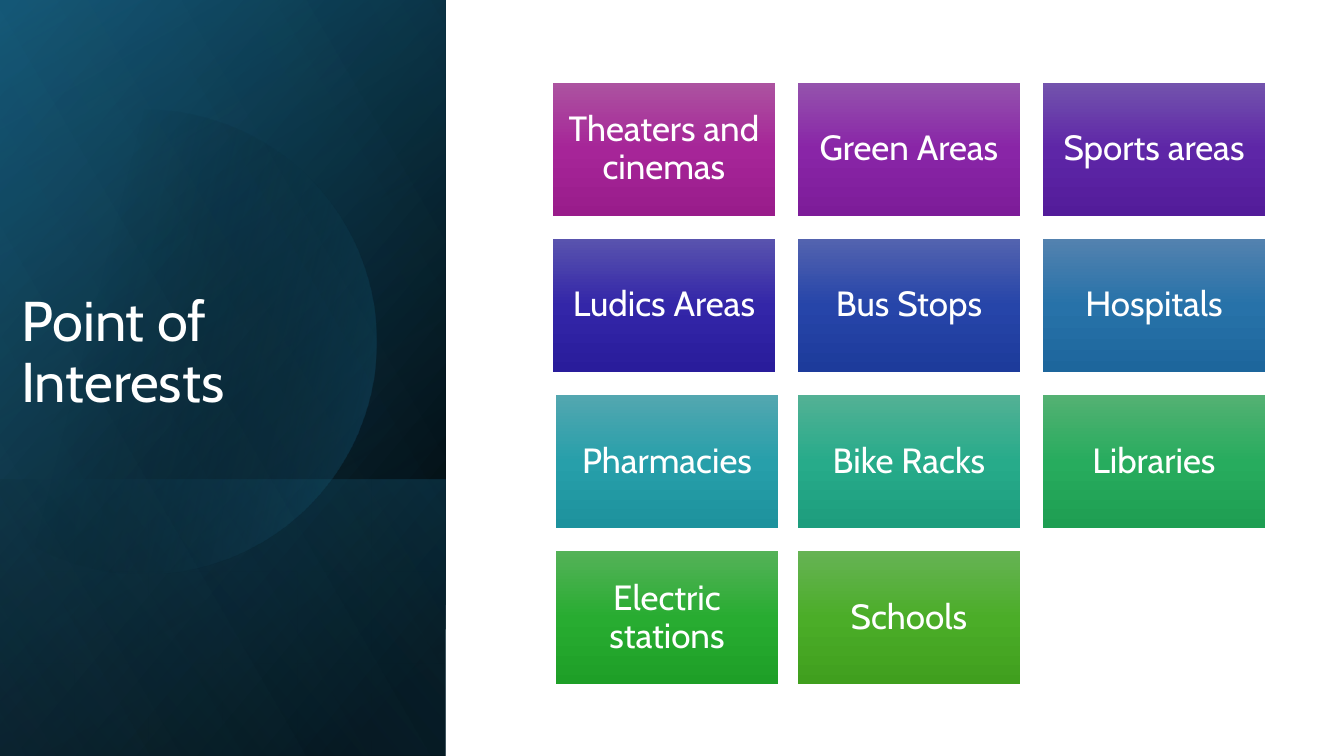
from math import acos, cos, sin

from lxml import etree
from pptx import Presentation
from pptx.dml.color import RGBColor
from pptx.enum.shapes import MSO_SHAPE as Shape
from pptx.enum.text import MSO_ANCHOR as Anchor, MSO_AUTO_SIZE as AutoSize, PP_ALIGN as Align
from pptx.oxml.ns import qn
from pptx.util import Inches, Pt

FONT = "Cabin"
WHITE = RGBColor(0xFF, 0xFF, 0xFF)
BLACK = RGBColor(0x00, 0x00, 0x00)
DEEP_TEAL = RGBColor(0x10, 0x48, 0x62)
TEAL = RGBColor(0x15, 0x60, 0x82)
SKY = RGBColor(0x46, 0xB1, 0xE1)

# Gradient stops: position in percent, colour, opacity in percent
FULL_PANEL = (-1.54, 1.54, 7.5, 4.42)
LOWER_PANEL = (0.84, 3.92, 2.74, 4.42)
BACK_PANELS = [
    (FULL_PANEL, [(8, BLACK, 100), (100, DEEP_TEAL, 100)], 50),
    (FULL_PANEL, [(0, BLACK, 0), (99, TEAL, 46)], 30),
    (LOWER_PANEL, [(2, TEAL, 29), (100, BLACK, 30)], 130),
]
GLOW_PANEL = (FULL_PANEL, [(0, SKY, 0), (99, SKY, 11)], 120)
DISC_STOPS = [(29, BLACK, 0), (100, TEAL, 43)]
DISC_X, DISC_Y, DISC_RADIUS = 1.43, 3.39, 2.3

# Each tile: label, then its top, middle and bottom colours
TILES = [
    ("Theaters and cinemas", "AC53A0", "A62598", "991C8B"),
    ("Green Areas", "9453AD", "8925A7", "7D1C99"),
    ("Sports areas", "7353AD", "5E26A7", "531C9A"),
    ("Ludics Areas", "5953AE", "3326A8", "291C9B"),
    ("Bus Stops", "5363AF", "2645A9", "1D3B9B"),
    ("Hospitals", "5382AF", "2772A9", "1D669C"),
    ("Pharmacies", "53A7B0", "279FAA", "1D929D"),
    ("Bike Racks", "53B195", "27AB8A", "1D9D7D"),
    ("Libraries", "54B173", "27AC5E", "1E9E52"),
    ("Electric stations", "54B258", "28AC31", "1E9F27"),
    ("Schools", "66B354", "4BAD28", "409F1E"),
]
COLUMNS = 3
TILE_LEFT, TILE_TOP = 5.48, 0.82
TILE_WIDTH, TILE_HEIGHT = 2.21, 1.32
COLUMN_STEP, ROW_STEP = 2.43, 1.55
NUDGES = {"Pharmacies": 0.03, "Electric stations": 0.03}


def set_gradient(shape, stops, angle):
    """Fill with a linear gradient (angle clockwise) and drop outline and shadow."""
    shape.shadow.inherit = False
    shape.line.fill.background()
    shape.fill.background()
    gradient = etree.Element(qn("a:gradFill"), rotWithShape="1")
    stop_list = etree.SubElement(gradient, qn("a:gsLst"))
    for position, color, opacity in stops:
        stop = etree.SubElement(stop_list, qn("a:gs"), pos=str(position * 1000))
        color_element = etree.SubElement(stop, qn("a:srgbClr"), val=str(color))
        if opacity < 100:
            etree.SubElement(color_element, qn("a:alpha"), val=str(opacity * 1000))
    etree.SubElement(gradient, qn("a:lin"), ang=str(angle * 60000), scaled="0")
    properties = shape.element.spPr
    properties.replace(properties.find(qn("a:noFill")), gradient)


def write_text(shape, text, size, align=Align.LEFT, anchor=Anchor.MIDDLE, color=WHITE):
    frame = shape.text_frame
    frame.word_wrap = True
    frame.auto_size = AutoSize.NONE
    frame.vertical_anchor = anchor
    paragraph = frame.paragraphs[0]
    paragraph.alignment = align
    paragraph.line_spacing = 0.9
    run = paragraph.add_run()
    run.text = text
    run.font.name = FONT
    run.font.size = Pt(size)
    run.font.color.rgb = color


def add_rectangle(slide, box, stops, angle):
    shape = slide.shapes.add_shape(Shape.RECTANGLE, *map(Inches, box))
    set_gradient(shape, stops, angle)
    return shape


def add_panel(slide, box, stops, angle):
    """Add a rectangle that is mirrored and turned a quarter."""
    panel = add_rectangle(slide, box, stops, angle)
    panel.rotation = 90
    panel.element.spPr.find(qn("a:xfrm")).set("flipH", "1")


def add_disc(slide, steps=120):
    """Add the large circle, cut off at the left edge of the slide."""
    limit = acos(-DISC_X / DISC_RADIUS)
    angles = [limit * (2 * step / steps - 1) for step in range(steps + 1)]
    points = [
        (Inches(DISC_X + DISC_RADIUS * cos(angle)), Inches(DISC_Y + DISC_RADIUS * sin(angle)))
        for angle in angles
    ]
    builder = slide.shapes.build_freeform(*points[0])
    builder.add_line_segments(points[1:], close=True)
    set_gradient(builder.convert_to_shape(), DISC_STOPS, 14)


def add_title(slide, text):
    title = slide.shapes.title
    title.element.getparent().append(title.element)  # in front of the panels
    title.left, title.top, title.width, title.height = map(Inches, (0.11, 3.35, 4.15, 0.81))
    write_text(title, text, 40, anchor=Anchor.BOTTOM)


def add_tile(slide, index, label, colors):
    row, column = divmod(index, COLUMNS)
    left = TILE_LEFT + column * COLUMN_STEP + NUDGES.get(label, 0)
    top = TILE_TOP + row * ROW_STEP
    stops = [(50 * i, RGBColor.from_string(color), 100) for i, color in enumerate(colors)]
    tile = add_rectangle(slide, (left, top, TILE_WIDTH, TILE_HEIGHT), stops, 90)
    frame = tile.text_frame
    frame.margin_left = frame.margin_right = Inches(0.1)
    frame.margin_top = frame.margin_bottom = Inches(0.1)
    write_text(tile, label, 25, align=Align.CENTER)


def main():
    presentation = Presentation()
    presentation.slide_width = Inches(13.33)
    presentation.slide_height = Inches(7.5)
    slide = presentation.slides.add_slide(presentation.slide_layouts.get_by_name("Title Only"))
    for panel in BACK_PANELS:
        add_panel(slide, *panel)
    add_disc(slide)
    add_panel(slide, *GLOW_PANEL)
    add_title(slide, "Point of Interests")
    for index, (label, *colors) in enumerate(TILES):
        add_tile(slide, index, label, colors)
    presentation.save("out.pptx")


if __name__ == "__main__":
    main()
